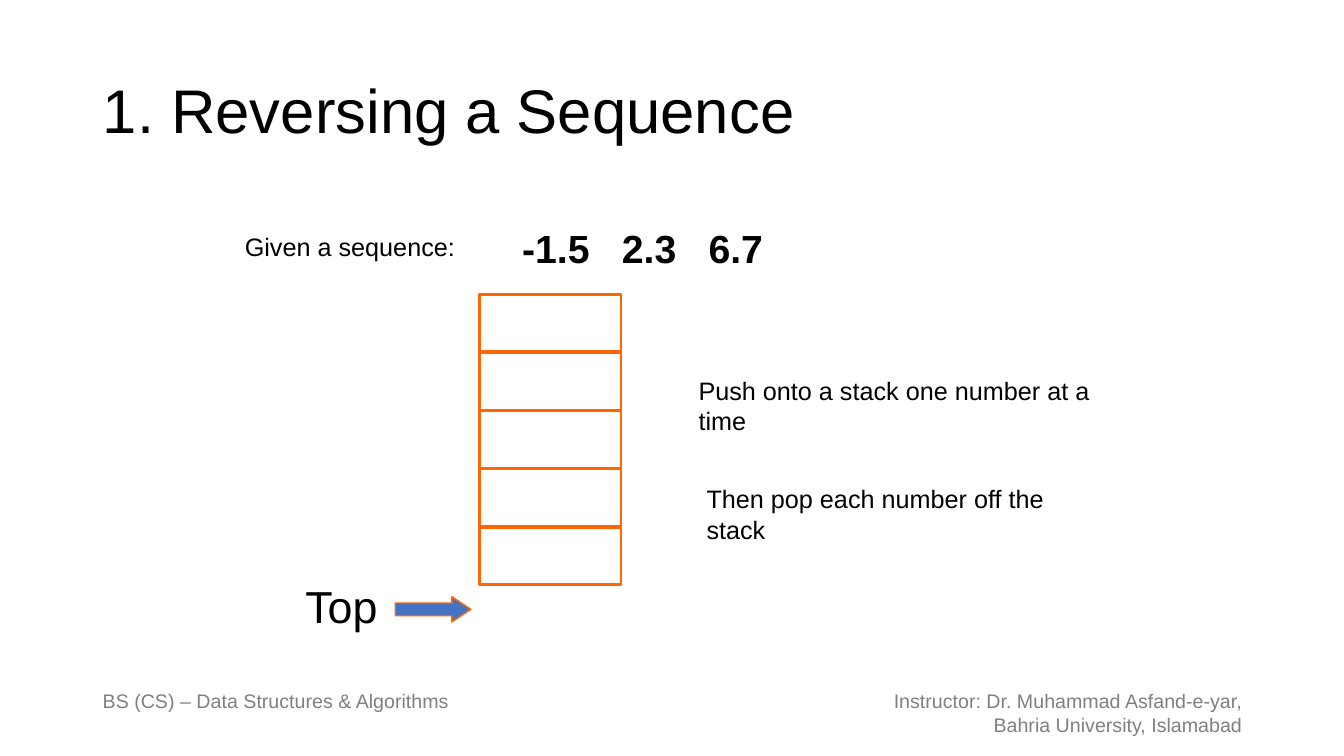
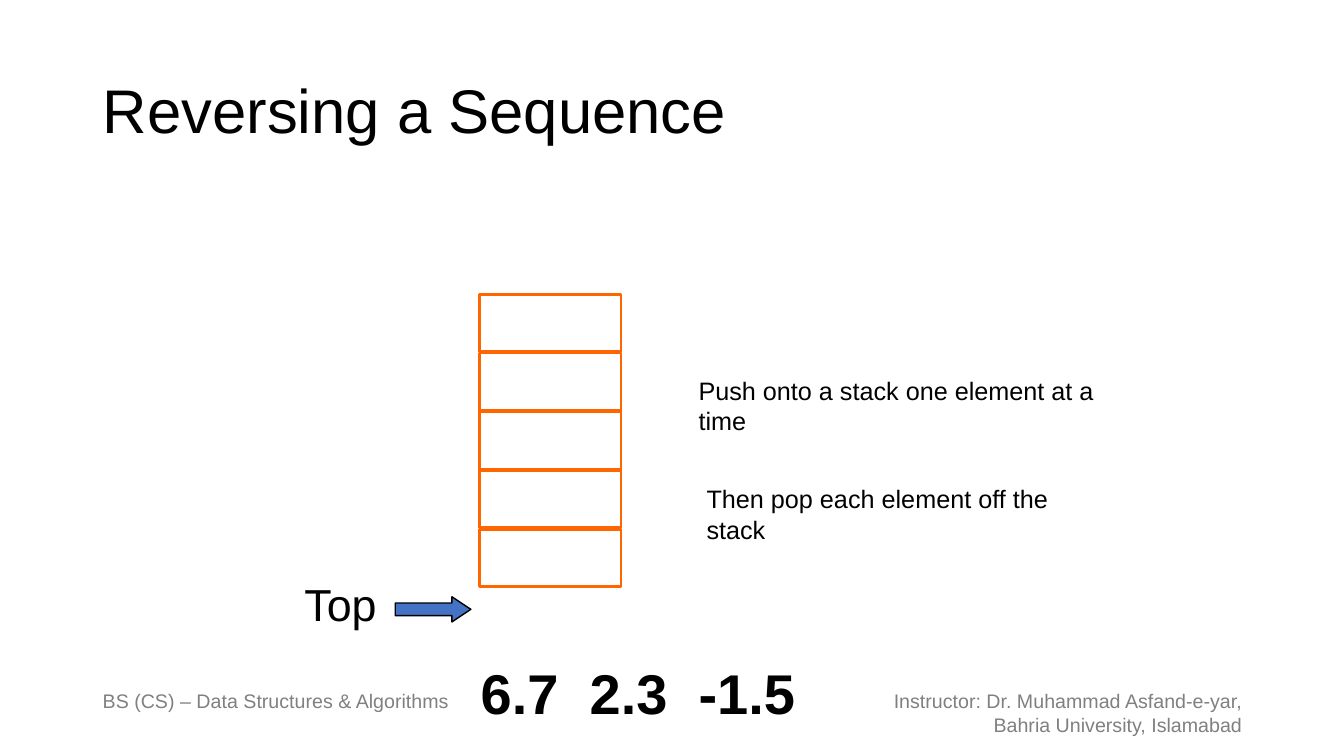
from lxml import etree
from pptx import Presentation
from pptx.dml.color import RGBColor
from pptx.enum.shapes import MSO_SHAPE
from pptx.enum.text import MSO_ANCHOR, MSO_AUTO_SIZE, PP_ALIGN
from pptx.oxml.ns import qn
from pptx.util import Inches, Pt

RECTANGLE = MSO_SHAPE.RECTANGLE
RIGHT_ARROW = MSO_SHAPE.RIGHT_ARROW
LEFT, RIGHT = PP_ALIGN.LEFT, PP_ALIGN.RIGHT
MIDDLE = MSO_ANCHOR.MIDDLE
NO_AUTOFIT = MSO_AUTO_SIZE.NONE

FONT = "Arial"
BLACK = RGBColor(0x00, 0x00, 0x00)
GRAY = RGBColor(0x80, 0x80, 0x80)
ORANGE = RGBColor(0xFF, 0x66, 0x00)
BLUE = RGBColor(0x44, 0x72, 0xC4)

CELL_COUNT = 5
CELL_LEFT, CELL_WIDTH, CELL_HEIGHT = 4.76, 1.4, 0.57
STACK_TOP = 2.92

FOOTERS = [
    (["BS (CS) – Data Structures & Algorithms"], (0.92, 6.79, 3.71, 0.34), LEFT),
    (["Instructor: Dr. Muhammad Asfand-e-yar,", "Bahria University, Islamabad"],
     (8.75, 6.79, 3.67, 0.57), RIGHT),
]

SLIDES = [
    {
        "title": "1. Reversing a Sequence",
        "last_cell_top": 5.23,
        "top_label": (2.93, 5.69, 1.08, 0.63),
        "arrow_line": ORANGE,
        "item": "number",
        "captions": [("Given a sequence:", (2.33, 2.25, 3, 0.4))],
        "sequence": ["-1.5", "2.3", "6.7"],
        "sequence_box": (5.08, 2.18, 5.33, 0.57),
        "sequence_size": 28,
        "sequence_tabs": [0.99, 1.85],
    },
    {
        "title": "Reversing a Sequence",
        "last_cell_top": 5.25,
        "top_label": (2.92, 5.67, 1.08, 0.63),
        "arrow_line": BLACK,
        "item": "element",
        "captions": [],
        "sequence": ["6.7", "2.3", "-1.5"],
        "sequence_box": (4.67, 6.48, 5.33, 0.77),
        "sequence_size": 40,
        "sequence_tabs": [1.08, 2.16],
    },
]


def inches(box):
    return [Inches(value) for value in box]


def format_font(font, size, color=BLACK, bold=False):
    font.name = FONT
    font.size = Pt(size)
    font.bold = bold
    font.color.rgb = color


def add_text(slide, lines, box, size, color=BLACK, bold=False, align=LEFT, tabs=()):
    shape = slide.shapes.add_textbox(*inches(box))
    text_frame = shape.text_frame
    text_frame.word_wrap = True
    text_frame.text = "\n".join(lines)
    for paragraph in text_frame.paragraphs:
        paragraph.alignment = align
        if tabs:
            tab_list = etree.SubElement(paragraph.runs[0].font._element.getparent().getparent()
                                        .get_or_add_pPr(), qn("a:tabLst"))
            for position in tabs:
                etree.SubElement(tab_list, qn("a:tab"), pos=str(Inches(position)), algn="l")
        for run in paragraph.runs:
            format_font(run.font, size, color, bold)
    return shape


def add_outlined_shape(slide, kind, box, line_color, line_width):
    shape = slide.shapes.add_shape(kind, *inches(box))
    shape.shadow.inherit = False
    shape.fill.background()
    shape.line.color.rgb = line_color
    shape.line.width = Pt(line_width)
    return shape


def set_title(slide, text):
    title = slide.shapes.title
    title.left, title.top, title.width, title.height = inches((0.92, 0.4, 11.5, 1.45))
    text_frame = title.text_frame
    text_frame.text = text
    text_frame.auto_size = NO_AUTOFIT
    text_frame.vertical_anchor = MIDDLE
    paragraph = text_frame.paragraphs[0]
    paragraph.alignment = LEFT
    paragraph.line_spacing = 0.9
    format_font(paragraph.runs[0].font, 44)


def add_stack(slide, last_top):
    step = (last_top - STACK_TOP) / (CELL_COUNT - 1)
    for index in range(CELL_COUNT):
        box = (CELL_LEFT, STACK_TOP + index * step, CELL_WIDTH, CELL_HEIGHT)
        add_outlined_shape(slide, RECTANGLE, box, ORANGE, 2)


def add_top_pointer(slide, label_box, line_color):
    add_text(slide, ["Top"], label_box, 32)
    arrow = add_outlined_shape(slide, RIGHT_ARROW, (3.92, 5.92, 0.75, 0.25), line_color, 1)
    arrow.adjustments[0] = 0.5
    arrow.adjustments[1] = 0.75
    arrow.fill.solid()
    arrow.fill.fore_color.rgb = BLUE


def add_master_footers(master, slide):
    for lines, box, align in FOOTERS:
        footer = add_text(slide, lines, box, 14, GRAY, align=align)
        master.shapes.element.append(footer.element)


def build_slide(slide, content):
    set_title(slide, content["title"])
    add_stack(slide, content["last_cell_top"])
    add_top_pointer(slide, content["top_label"], content["arrow_line"])
    item = content["item"]
    captions = content["captions"] + [
        (f"Push onto a stack one {item} at a time", (6.83, 3.67, 4.25, 0.71)),
        (f"Then pop each {item} off the stack", (6.91, 4.75, 4.17, 0.71)),
    ]
    for text, box in captions:
        add_text(slide, [text], box, 18)
    add_text(slide, ["\t".join(content["sequence"])], content["sequence_box"],
             content["sequence_size"], bold=True, tabs=content["sequence_tabs"])


def main():
    presentation = Presentation()
    presentation.slide_width = Inches(13.33)
    presentation.slide_height = Inches(7.5)
    layout = presentation.slide_layouts.get_by_name("Title Only")
    slides = [presentation.slides.add_slide(layout) for _ in SLIDES]
    add_master_footers(presentation.slide_master, slides[0])
    for slide, content in zip(slides, SLIDES):
        build_slide(slide, content)
    presentation.save("out.pptx")


if __name__ == "__main__":
    main()
